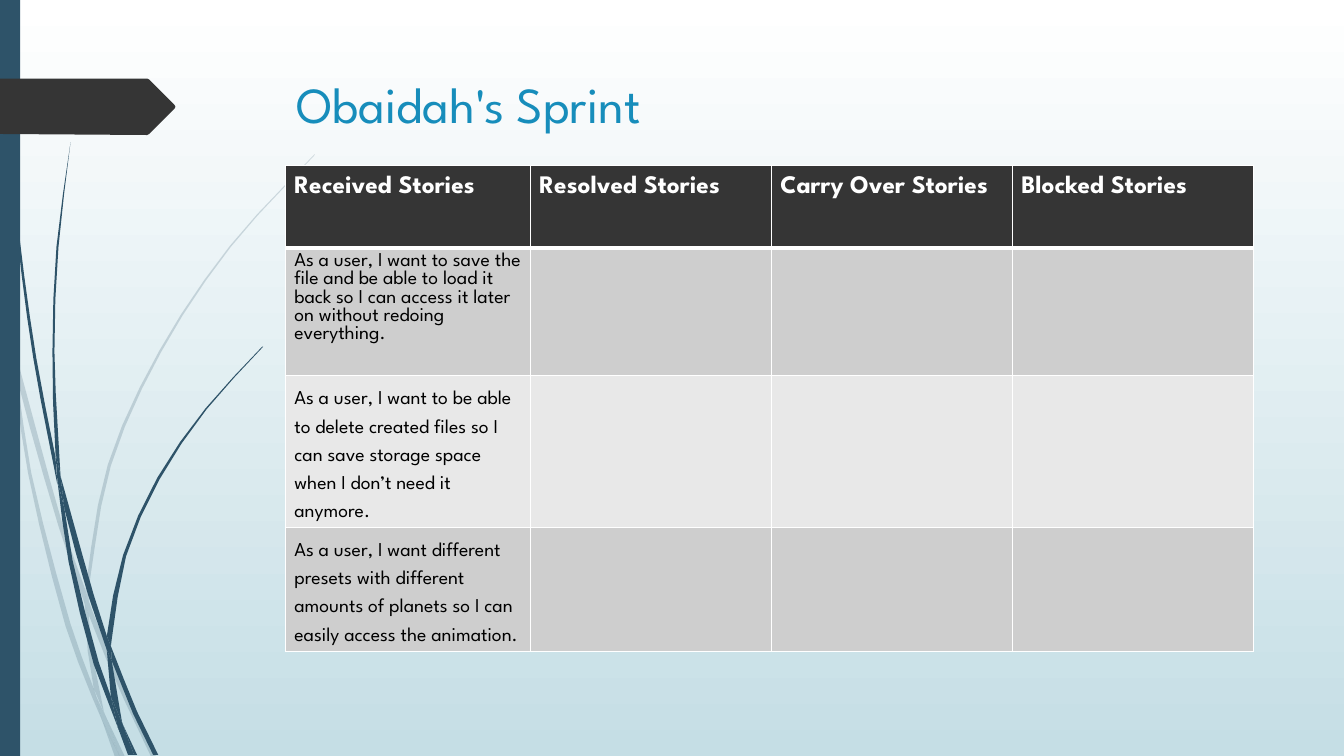
import math

from lxml import etree
from pptx import Presentation
from pptx import util as u
from pptx.dml.color import RGBColor
from pptx.enum import shapes, text
from pptx.oxml import ns

PX = 9144  # EMU per px, 100 px to the inch
FONT = "League Spartan"
BLUE, DARK, WHITE = "2E5369", "353535", "FFFFFF"
CURVE_STEP = 45  # px of curve drawn as one straight piece

# Each blade of grass: the points along one edge, then along the edge back
PALE_BLADES = [
    ([(11, 350), (9, 322), (0, 282)], [(0, 299), (10, 344)]),
    ([(14, 345), (17, 376), (58, 522), (84, 599)], [(85, 586), (62, 520), (14, 345)]),
    ([(88, 596), (88, 610), (123, 694), (150, 751)],
     [(155, 751), (127, 692), (92, 607), (88, 596)]),
    ([(105, 711), (119, 751)], [(124, 751)]),
    ([(11, 350), (28, 470), (65, 621), (92, 693), (101, 714)],
     [(93, 683), (70, 619), (31, 469), (17, 376), (11, 350)]),
    ([(84, 599), (87, 646), (93, 683), (105, 711)],
     [(103, 706), (91, 646), (88, 610), (84, 599)]),
    ([(88, 596), (88, 584), (110, 462), (160, 349), (229, 245), (312, 154)],
     [(312, 153), (228, 244), (158, 348), (107, 461), (85, 584), (88, 596)]),
    ([(101, 714), (114, 751)], [(119, 751)]),
    ([(88, 610), (88, 596)], [(85, 586), (84, 599)]),
    ([(93, 683), (101, 714), (119, 751)], [(105, 711), (96, 692)]),
]
DARK_BLADES = [
    ([(3, 0), (7, 110), (17, 233), (33, 355), (57, 481)],
     [(55, 453), (36, 355), (19, 232), (8, 109), (4, 0)]),
    ([(60, 472), (64, 505), (88, 592), (106, 645)], [(106, 631), (93, 590), (60, 472)]),
    ([(110, 641), (111, 656), (132, 708), (152, 749)],
     [(157, 749), (136, 706), (110, 641)]),
    ([(57, 477), (68, 557), (93, 659), (117, 722)],
     [(110, 691), (98, 657), (72, 556), (64, 505), (57, 477)]),
    ([(60, 472), (54, 349), (58, 245), (70, 141)],
     [(70, 141), (56, 245), (52, 349), (55, 449), (60, 472)]),
    ([(122, 719), (133, 749)], [(136, 749)]),
    ([(57, 477), (64, 505)], [(60, 472), (55, 449)]),
    ([(110, 641), (111, 633), (125, 552), (158, 476), (205, 406), (261, 344)],
     [(260, 344), (204, 405), (156, 474), (122, 551), (106, 631), (110, 641)]),
    ([(117, 722), (127, 749)], [(131, 749)]),
    ([(106, 645), (110, 691), (122, 719)], [(121, 716), (111, 656), (106, 645)]),
    ([(106, 645), (111, 656)], [(110, 641), (106, 631)]),
    ([(110, 691), (117, 722), (130, 749)], [(133, 749), (122, 719)]),
]
TAG = [(0, 78), (146, 78), (148, 79), (173, 104), (174, 106), (173, 108),
       (148, 133), (146, 134), (0, 133)]

HEADINGS = ["Received Stories", "Resolved Stories", "Carry Over Stories", "Blocked Stories"]
STORIES = [
    "As a user, I want to save the file and be able to load it back so I can "
    "access it later on without redoing everything.",
    "As a user, I want to be able to delete created files so I can save storage "
    "space when I don’t need it anymore.",
    "As a user, I want different presets with different amounts of planets so I "
    "can easily access the animation.",
]
COLUMN_WIDTHS = [243, 239, 239, 239]
ROW_HEIGHTS = [82, 100, 150, 123]
ROW_FILLS = [DARK, "CECECE", "E8E8E8", "CECECE"]


def px(*lengths):
    return [u.Emu(round(length * PX)) for length in lengths]


def rgb(code):
    return RGBColor.from_string(code)


def paint(shape, color, opacity=100):
    shape.shadow.inherit = False
    shape.line.fill.background()
    shape.fill.solid()
    shape.fill.fore_color.rgb = rgb(color)
    if opacity < 100:
        srgb = shape.fill._xPr.find(".//" + ns.qn("a:srgbClr"))
        etree.SubElement(srgb, ns.qn("a:alpha"), val=str(opacity * 1000))


def smooth_edge(points):
    """Points on a smooth curve that passes through all the given points."""
    def slope(i):
        before, after = points[max(i - 1, 0):i + 1], points[i:i + 2]
        run = math.dist(before[0], before[-1]) + math.dist(after[0], after[-1])
        return [(b - a) / run for a, b in zip(before[0], after[-1])]

    edge = [points[0]]
    for i, (start, end) in enumerate(zip(points, points[1:])):
        chord, leave, arrive = math.dist(start, end), slope(i), slope(i + 1)
        steps = max(1, round(chord / CURVE_STEP))
        for step in range(1, steps + 1):
            t = step / steps
            blend = t * t * (3 - 2 * t)
            edge.append(tuple(
                a + (b - a) * blend
                + chord * (m * t * (1 - t) ** 2 - n * t * t * (1 - t))
                for a, b, m, n in zip(start, end, leave, arrive)))
    return edge


def add_outline(slide, points, color, opacity=100):
    corners = [px(*point) for point in points]
    builder = slide.shapes.build_freeform(*corners[0])
    builder.add_line_segments(corners[1:], close=True)
    paint(builder.convert_to_shape(), color, opacity)


def write(paragraph, words, size, color, bold=False, spacing=None):
    paragraph.alignment = text.PP_ALIGN.LEFT
    if spacing:
        paragraph.line_spacing = u.Pt(spacing)
    run = paragraph.add_run()
    run.text = words
    run.font.name, run.font.size, run.font.bold = FONT, u.Pt(size), bold
    run.font.color.rgb = rgb(color)


def add_cell_borders(cell, **widths):
    for side in "LRTB":
        line = etree.SubElement(cell._tc.get_or_add_tcPr(), ns.qn("a:ln" + side),
                                w=str(u.Pt(widths.get(side, 0.92))))
        fill = etree.SubElement(line, ns.qn("a:solidFill"))
        etree.SubElement(fill, ns.qn("a:srgbClr"), val=WHITE)


def add_background(slide):
    fill = slide.background.fill
    fill.gradient()
    fill.gradient_angle = 270
    for stop, color, position in zip(fill.gradient_stops, (WHITE, "C5DEE5"), (0, 1)):
        stop.color.rgb, stop.position = rgb(color), position


def add_story_table(slide):
    table = slide.shapes.add_table(
        len(ROW_HEIGHTS), len(HEADINGS),
        *px(283, 164, sum(COLUMN_WIDTHS), sum(ROW_HEIGHTS))).table
    for column, width in zip(table.columns, px(*COLUMN_WIDTHS)):
        column.width = width
    for row, height in zip(table.rows, px(*ROW_HEIGHTS)):
        row.height = height
    for r, color in enumerate(ROW_FILLS):
        header_rule = {0: {"B": 2.78}, 1: {"T": 2.78}}.get(r, {})
        for cell in table.rows[r].cells:
            add_cell_borders(cell, **header_rule)
            cell.fill.solid()
            cell.fill.fore_color.rgb = rgb(color)
            cell.margin_left, cell.margin_right, cell.margin_top, cell.margin_bottom = px(9, 9, 5, 5)
    for c, heading in enumerate(HEADINGS):
        write(table.cell(0, c).text_frame.paragraphs[0], heading, 18, WHITE, True, 20.2)
    for r, (story, spacing) in enumerate(zip(STORIES, (None, 20.2, 20.2)), 1):
        write(table.cell(r, 0).text_frame.paragraphs[0], story, 14, "000000", spacing=spacing)


def main():
    deck = Presentation()
    deck.slide_width, deck.slide_height = u.Inches(13.33), u.Inches(7.5)
    slide = deck.slides.add_slide(deck.slide_layouts[6])
    add_background(slide)

    # Grass, side bar and tag
    for blades, opacity in ((PALE_BLADES, 20), (DARK_BLADES, 100)):
        for edge, edge_back in blades:
            add_outline(slide, smooth_edge(edge) + smooth_edge(edge_back), BLUE, opacity)
    side_bar = slide.shapes.add_shape(shapes.MSO_SHAPE.RECTANGLE, *px(0, 0, 20, 750))
    paint(side_bar, BLUE)
    add_outline(slide, TAG, DARK)

    # Title
    title = slide.shapes.add_textbox(*px(284, 68, 975, 140)).text_frame
    title.word_wrap = True
    write(title.paragraphs[0], "Obaidah's Sprint", 36, "178DBB")

    # Sprint stories
    add_story_table(slide)
    deck.save("out.pptx")


if __name__ == "__main__":
    main()
